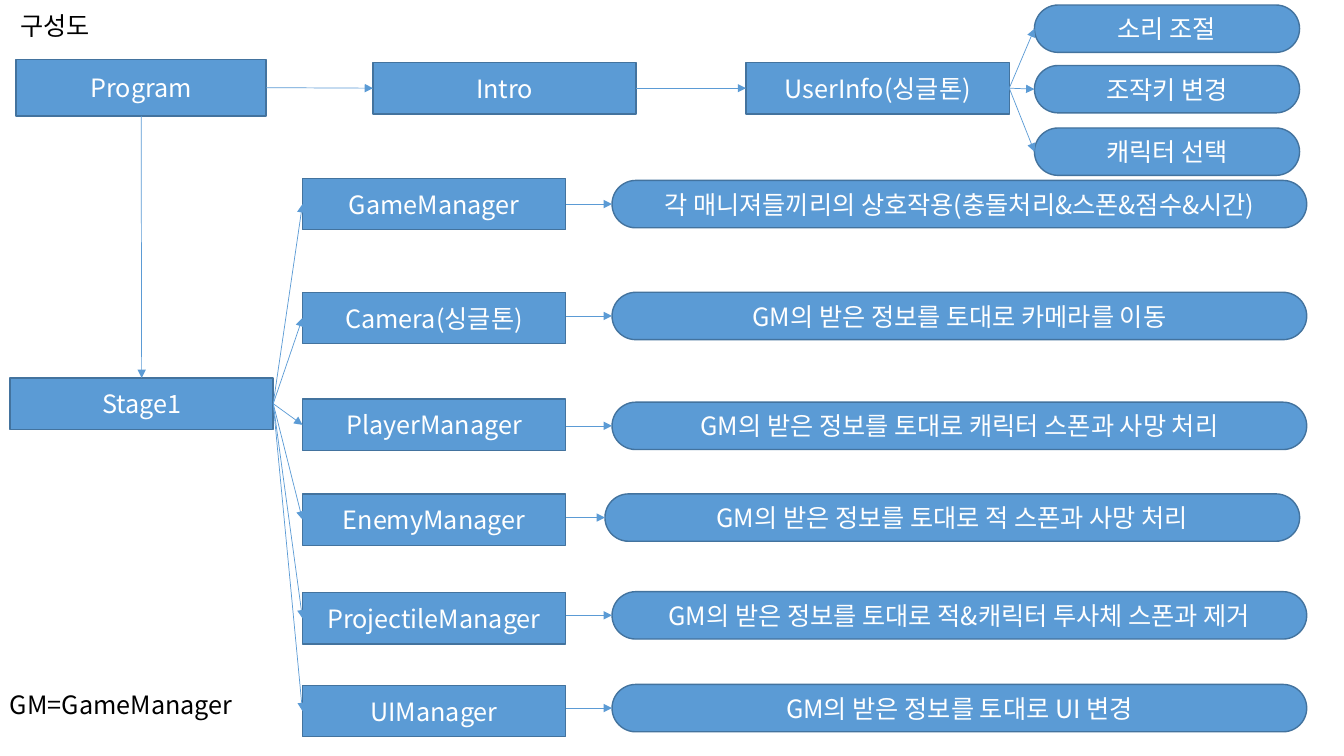
import pptx
import pptx.dml.color
import pptx.enum.shapes
import pptx.enum.text
import pptx.oxml
import pptx.oxml.ns
import pptx.util
from dataclasses import dataclass

Inches = pptx.util.Inches
Kind = pptx.enum.shapes.MSO_SHAPE
TOP, LEFT, BOTTOM, RIGHT = range(4)


@dataclass(frozen=True)
class Theme:
    font: str = "Noto Sans CJK KR"
    size: float = 18
    fill: str = "5B9BD5"
    outline: str = "43739E"
    outline_width: float = 1
    arrow_width: float = 0.5
    light: str = "FFFFFF"
    dark: str = "000000"


class Diagram:
    def __init__(self, page, theme):
        self.page = page
        self.theme = theme

    def color(self, value):
        return pptx.dml.color.RGBColor.from_string(value)

    def add_text(self, shape, text, color):
        para = shape.text_frame.paragraphs[0]
        span = para.add_run()
        span.text = text
        span.font.size = pptx.util.Pt(self.theme.size)
        span.font.name = self.theme.font
        span.font.color.rgb = self.color(color)
        east_asian = pptx.oxml.parse_xml(
            f'<a:ea {pptx.oxml.ns.nsdecls("a")} typeface="{self.theme.font}"/>')
        span.font._element.find(pptx.oxml.ns.qn("a:latin")).addnext(east_asian)
        return para

    def shape(self, kind, text, left, top, width, height):
        shape = self.page.shapes.add_shape(
            kind, Inches(left), Inches(top), Inches(width), Inches(height))
        shape.shadow.inherit = False
        shape.fill.solid()
        shape.fill.fore_color.rgb = self.color(self.theme.fill)
        shape.line.color.rgb = self.color(self.theme.outline)
        shape.line.width = pptx.util.Pt(self.theme.outline_width)
        shape.text_frame.vertical_anchor = pptx.enum.text.MSO_ANCHOR.MIDDLE
        para = self.add_text(shape, text, self.theme.light)
        para.alignment = pptx.enum.text.PP_ALIGN.CENTER
        return shape

    def box(self, text, left, top, width=2.61, height=0.51):
        return self.shape(Kind.RECTANGLE, text, left, top, width, height)

    def pill(self, text, left, top, width):
        pill = self.shape(Kind.ROUNDED_RECTANGLE, text, left, top, width, 0.47)
        pill.adjustments[0] = 0.5
        return pill

    def label(self, text, left, top, width):
        label = self.page.shapes.add_textbox(
            Inches(left), Inches(top), Inches(width), Inches(0.4))
        label.text_frame.word_wrap = True
        self.add_text(label, text, self.theme.dark)

    def arrow(self, source, target, start=RIGHT, end=LEFT, level=False):
        middle = target.top + target.height // 2
        arrow = self.page.shapes.add_connector(
            pptx.enum.shapes.MSO_CONNECTOR.STRAIGHT,
            source.left + source.width, middle, target.left, middle)
        if not level:
            arrow.begin_connect(source, start)
        arrow.end_connect(target, end)
        arrow.line.color.rgb = self.color(self.theme.fill)
        arrow.line.width = pptx.util.Pt(self.theme.arrow_width)
        names = pptx.oxml.ns.nsdecls("a")
        arrow.line._get_or_add_ln().append(
            pptx.oxml.parse_xml(f'<a:tailEnd {names} type="triangle"/>'))
        arrow._element.spPr.append(pptx.oxml.parse_xml(f"<a:effectLst {names}/>"))


MANAGERS = [
    ("GameManager", 1.77, "각 매니져들끼리의 상호작용(충돌처리&스폰&점수&시간)", 6.07, 1.79),
    ("Camera(싱글톤)", 2.9, "GM의 받은 정보를 토대로 카메라를 이동", 6.07, 2.9),
    ("PlayerManager", 3.96, "GM의 받은 정보를 토대로 캐릭터 스폰과 사망 처리", 6.07, 3.99),
    ("EnemyManager", 4.9, "GM의 받은 정보를 토대로 적 스폰과 사망 처리", 6, 4.9),
    ("ProjectileManager", 5.88, "GM의 받은 정보를 토대로 적&캐릭터 투사체 스폰과 제거", 6.07, 5.87),
    ("UIManager", 6.8, "GM의 받은 정보를 토대로 UI 변경", 6.07, 6.79),
]
SETTINGS = [("소리 조절", 0.05), ("조작키 변경", 0.65), ("캐릭터 선택", 1.27)]


def main():
    deck = pptx.Presentation()
    deck.slide_width, deck.slide_height = Inches(13.33), Inches(7.5)
    page = deck.slides.add_slide(deck.slide_layouts[6])
    diagram = Diagram(page, Theme())

    program = diagram.box("Program", 0.16, 0.59, 2.48, 0.56)
    intro = diagram.box("Intro", 3.7, 0.62)
    user_info = diagram.box("UserInfo(싱글톤)", 7.4, 0.62)
    stage = diagram.box("Stage1", 0.1, 3.75)
    diagram.arrow(program, intro)
    diagram.arrow(intro, user_info)
    diagram.arrow(program, stage, BOTTOM, TOP)

    for text, top in SETTINGS:
        diagram.arrow(user_info, diagram.pill(text, 10.26, top, 2.63))

    for name, top, duty, duty_left, duty_top in MANAGERS:
        manager = diagram.box(name, 3, top)
        diagram.arrow(stage, manager)
        role = diagram.pill(duty, duty_left, duty_top, 6.89)
        diagram.arrow(manager, role, level=True)

    diagram.label("구성도", 0.1, 0.05, 3.85)
    diagram.label("GM=GameManager", 0, 6.79, 2.71)
    deck.save("out.pptx")


if __name__ == "__main__":
    main()
